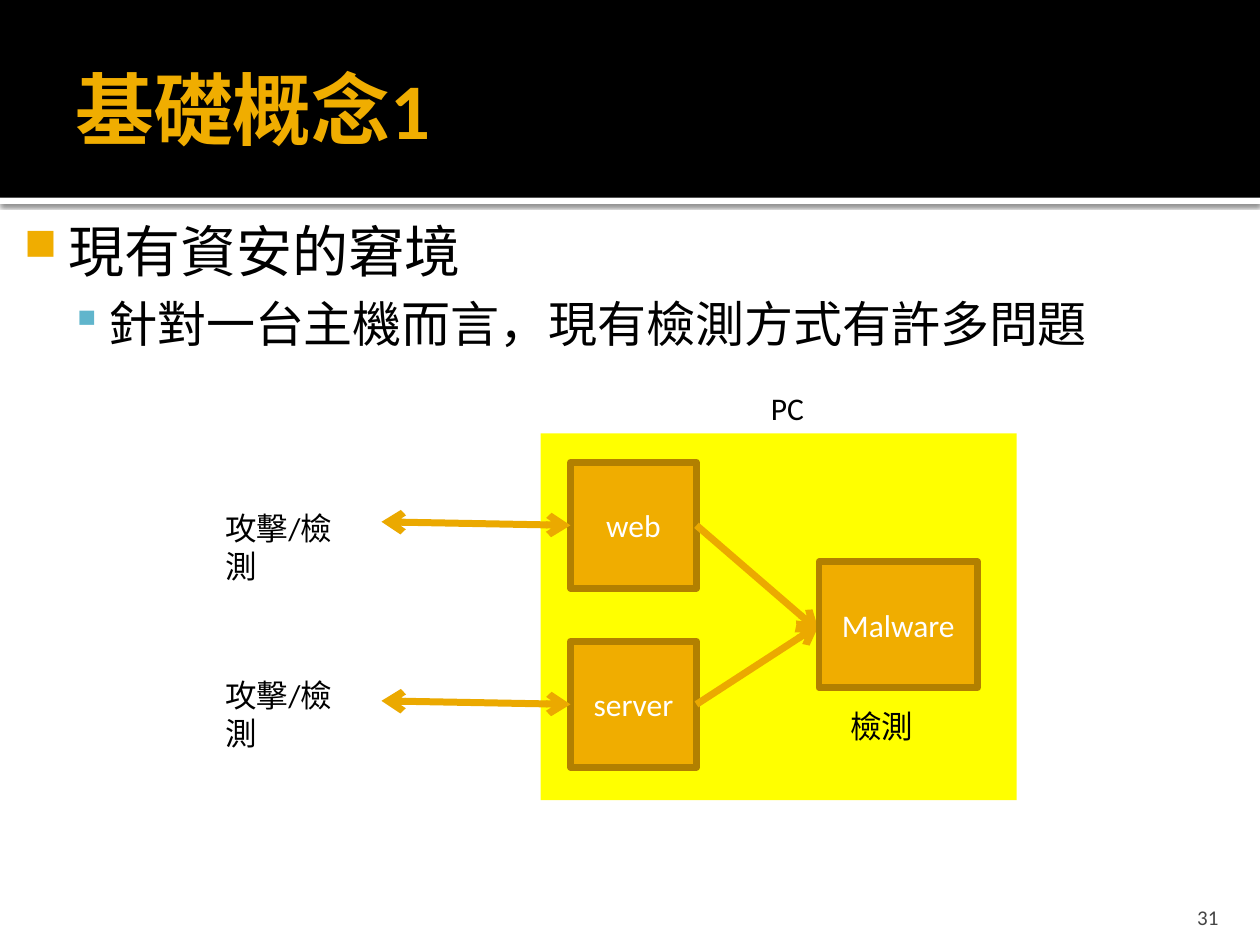
import pptx
import pptx.dml.color
import pptx.enum.shapes
import pptx.enum.text
import pptx.oxml
import pptx.oxml.ns
import pptx.util

Pt = pptx.util.Pt
RGBColor = pptx.dml.color.RGBColor
ALIGN = pptx.enum.text.PP_ALIGN
ANCHOR = pptx.enum.text.MSO_ANCHOR

BLACK = RGBColor(0x00, 0x00, 0x00)
WHITE = RGBColor(0xFF, 0xFF, 0xFF)
YELLOW = RGBColor(0xFF, 0xFF, 0x00)
AMBER = RGBColor(0xF0, 0xAD, 0x00)
BROWN = RGBColor(0xB2, 0x80, 0x00)
ARROW = RGBColor(0xEB, 0xA9, 0x00)
BLUE = RGBColor(0x60, 0xB5, 0xCC)
GRAY = RGBColor(0x45, 0x45, 0x45)

FONT = "Calibri"
NODE = 72
NODE_LEFT = 326


def add_xml(parent, xml):
    """Append a DrawingML element, given without its namespace."""
    ns = pptx.oxml.ns.nsdecls("a")
    element = pptx.oxml.parse_xml(xml.replace(">", f" {ns}>", 1) if "/>" not in xml.split(">")[0] + ">"
                                  else xml.replace("/>", f" {ns}/>", 1))
    parent.append(element)


def style(p, size, color, bold=False, align=ALIGN.LEFT):
    p.alignment = align
    for r in p.runs:
        r.font.name = FONT
        r.font.size = Pt(size)
        r.font.bold = bold
        r.font.color.rgb = color


def add_text(slide, box, text, size=18, color=BLACK, bold=False, align=ALIGN.LEFT,
             anchor=ANCHOR.TOP, insets=(7.2, 3.6, 7.2, 3.6)):
    tf = slide.shapes.add_textbox(*map(Pt, box)).text_frame
    tf.word_wrap = True
    tf.vertical_anchor = anchor
    tf.margin_left, tf.margin_top, tf.margin_right, tf.margin_bottom = map(Pt, insets)
    tf.text = text
    style(tf.paragraphs[0], size, color, bold, align)
    return tf


def add_bullet(p, char, color, percent, left, hanging):
    pPr = p._p.get_or_add_pPr()
    pPr.set("marL", str(Pt(left)))
    pPr.set("indent", str(Pt(-hanging)))
    add_xml(pPr, f'<a:buClr><a:srgbClr val="{color}"/></a:buClr>')
    add_xml(pPr, f'<a:buSzPct val="{percent * 1000}"/>')
    add_xml(pPr, f'<a:buChar char="{char}"/>')


def add_rect(slide, box, fill):
    s = slide.shapes.add_shape(pptx.enum.shapes.MSO_SHAPE.RECTANGLE, *map(Pt, box))
    s.shadow.inherit = False
    s.fill.solid()
    s.fill.fore_color.rgb = fill
    s.line.fill.background()
    return s


def add_node(slide, left, top, width, text):
    s = add_rect(slide, (left, top, width, NODE), AMBER)
    s.line.color.rgb = BROWN
    s.line.width = Pt(3.78)
    tf = s.text_frame
    tf.vertical_anchor = ANCHOR.MIDDLE
    tf.text = text
    style(tf.paragraphs[0], 18, WHITE, align=ALIGN.CENTER)


def add_arrow(slide, start, end, both_ends=False):
    c = slide.shapes.add_connector(pptx.enum.shapes.MSO_CONNECTOR.STRAIGHT,
                                   *map(Pt, start + end))
    c.line.color.rgb = ARROW
    c.line.width = Pt(4)
    ln = c.line._get_or_add_ln()
    if both_ends:
        add_xml(ln, '<a:headEnd type="arrow"/>')
    add_xml(ln, '<a:tailEnd type="arrow"/>')
    add_xml(c._element.spPr, "<a:effectLst/>")


def add_header(slide):
    rule = add_rect(slide, (0, 113, 720, 3.6), WHITE)
    effects = rule._element.spPr.find(pptx.oxml.ns.qn("a:effectLst"))
    add_xml(effects, f'<a:outerShdw blurRad="{Pt(2.5)}" dist="{Pt(0.8)}" dir="5400000">'
                     '<a:srgbClr val="000000"><a:alpha val="60000"/></a:srgbClr></a:outerShdw>')
    add_rect(slide, (0, 0, 720, 113), BLACK)
    add_text(slide, (36, 12.2, 648, 98.6), "基礎概念1", 45, AMBER, True,
             anchor=ANCHOR.MIDDLE, insets=(7.2, 3.6, 3.6, 3.6))


def add_body(slide):
    tf = add_text(slide, (0, 116.6, 720, 423.4), "現有資安的窘境", 32,
                  insets=(4.3, 7.2, 7.2, 3.6))
    add_bullet(tf.paragraphs[0], "■", AMBER, 80, 34.6, 25.2)
    p = tf.add_paragraph()
    p.text = "針對一台主機而言，現有檢測方式有許多問題"
    p.level = 1
    p.space_before = Pt(5.6)
    add_bullet(p, "▪", BLUE, 90, 57.6, 21.6)
    style(p, 28, BLACK)


def add_diagram(slide):
    add_rect(slide, (309, 247.7, 272, 209.5), YELLOW)
    add_text(slide, (433.4, 218.9, 35.3, 29), "PC")
    malware_left = 468
    # name, node top, label top, height where the arrow meets the malware node
    rows = (("web", 264.2, 287.3, 360.7), ("server", 366.5, 383, 357.1))
    for name, top, label_top, target in rows:
        middle = top + NODE / 2
        add_node(slide, NODE_LEFT, top, NODE, name)
        add_arrow(slide, (218, middle - 2), (NODE_LEFT, middle), both_ends=True)
        add_arrow(slide, (NODE_LEFT + NODE, middle), (malware_left, target))
        add_text(slide, (121.7, label_top, 92.2, 29), "攻擊/檢測")
    add_node(slide, malware_left, 321, 90.7, "Malware")
    add_text(slide, (478.8, 400.3, 51.1, 29), "檢測")


def main():
    prs = pptx.Presentation()
    prs.slide_width, prs.slide_height = Pt(720), Pt(540)
    slide = prs.slides.add_slide(prs.slide_layouts[6])
    add_header(slide)
    add_body(slide)
    add_text(slide, (645.8, 509.8, 57.6, 21.6), "31", 12, GRAY, align=ALIGN.RIGHT,
             anchor=ANCHOR.BOTTOM, insets=(7.2, 3.6, 7.2, 0))
    add_diagram(slide)
    prs.save("out.pptx")


if __name__ == "__main__":
    main()
